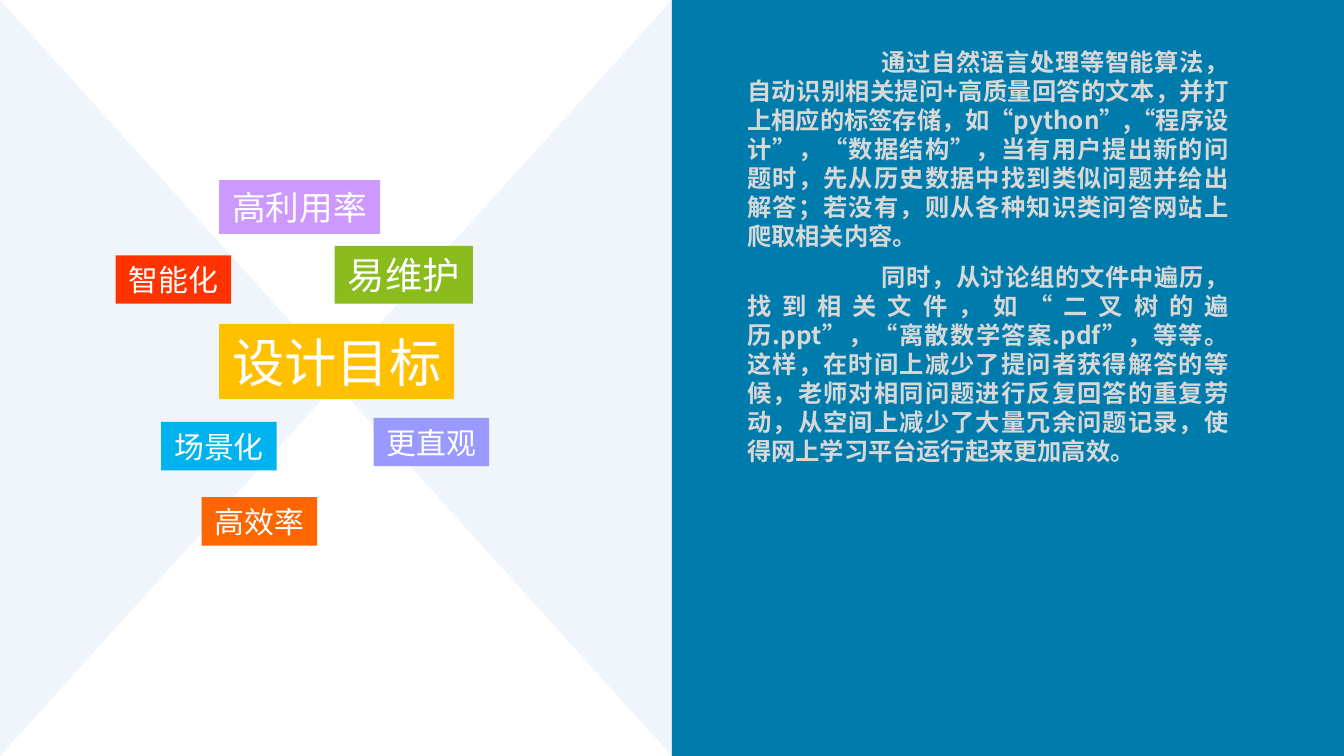
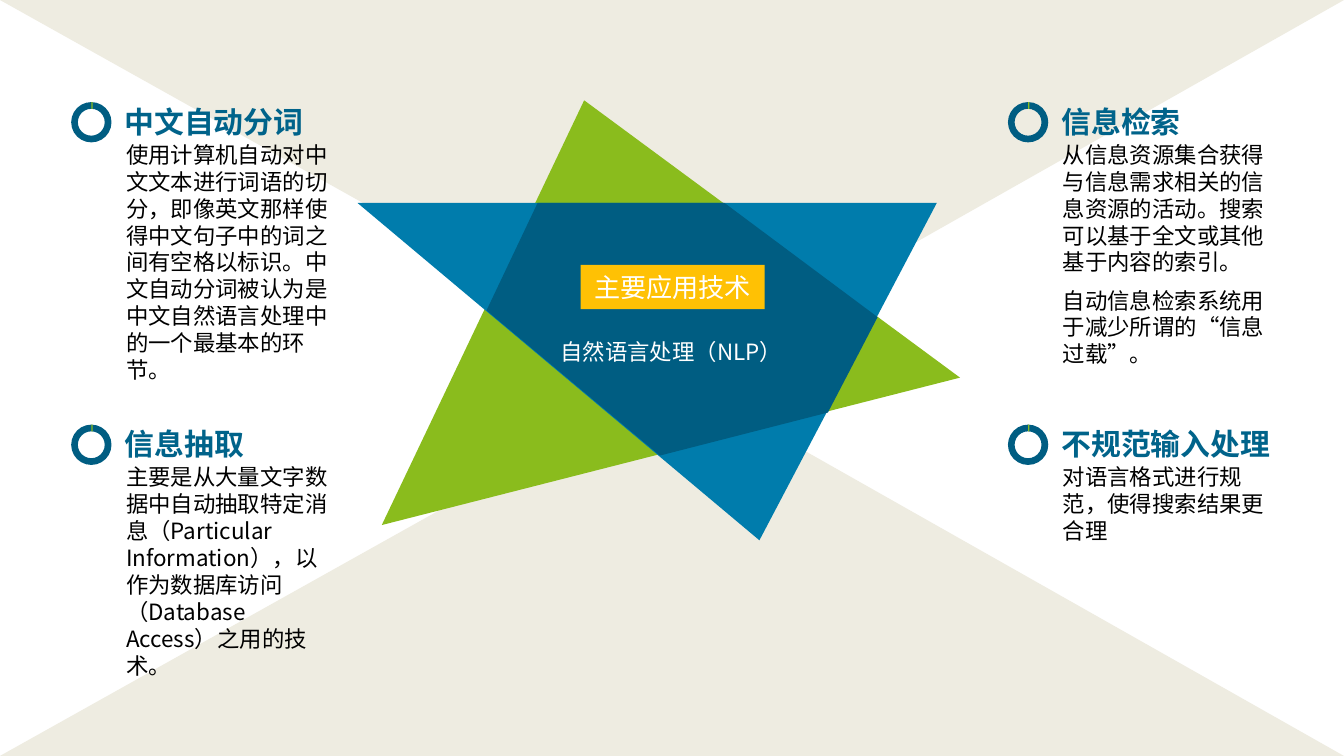
"""Build two slides on the goals and main techniques of a question answering platform."""
from pptx import Presentation
from pptx.dml.color import RGBColor
from pptx.enum.shapes import MSO_SHAPE as SHAPE
from pptx.enum.text import MSO_ANCHOR as ANCHOR, MSO_AUTO_SIZE as AUTO_SIZE, PP_ALIGN as ALIGN
from pptx.oxml.ns import qn
from pptx.util import Inches, Pt
from lxml.etree import SubElement

FONT = "Noto Sans CJK KR"
WIDTH = 10
HEIGHT = WIDTH * 9 / 16
LINE_HEIGHT = 1.2
WHITE = RGBColor(0xFF, 0xFF, 0xFF)
BLACK = RGBColor(0, 0, 0)
SILVER = RGBColor(0xD8, 0xD8, 0xD8)
PALE_BLUE = RGBColor(0xEF, 0xF5, 0xFB)
BEIGE = RGBColor(0xEE, 0xEC, 0xE1)
BLUE = RGBColor(0x00, 0x7C, 0xAC)
HEADING_BLUE = RGBColor(0x00, 0x63, 0x8A)
DARK_BLUE = RGBColor(0x00, 0x5D, 0x82)
GREEN = RGBColor(0x8A, 0xBC, 0x1D)
AMBER = RGBColor(0xFF, 0xC0, 0x00)
GOLD = RGBColor(0xFF, 0xC1, 0x04)
CYAN = RGBColor(0x00, 0xB3, 0xEE)
RED = RGBColor(0xFF, 0x33, 0x00)
ORANGE = RGBColor(0xFF, 0x66, 0x00)
VIOLET = RGBColor(0x99, 0x99, 0xFF)
LILAC = RGBColor(0xCC, 0x99, 0xFF)

GOAL_TITLE = "设计目标"
GOALS = [
    ("场景化", 1.2, 3.14, 16, CYAN),
    ("智能化", 0.86, 1.9, 16, RED),
    ("易维护", 2.49, 1.83, 20, GREEN),
    ("更直观", 2.78, 3.11, 16, VIOLET),
    ("高效率", 1.5, 3.7, 16, ORANGE),
    ("高利用率", 1.63, 1.34, 18, LILAC),
]
LABEL_SIZES = {16: (0.86, 0.36), 18: (1.2, 0.4), 20: (1.03, 0.43)}
GOAL_TEXT = [
    "通过自然语言处理等智能算法，自动识别相关提问+高质量回答的文本，并打上相应的标签存储，"
    "如“python”,“程序设计”，“数据结构”，当有用户提出新的问题时，先从历史数据中找到类似问题"
    "并给出解答；若没有，则从各种知识类问答网站上爬取相关内容。",
    "同时，从讨论组的文件中遍历，找到相关文件，如“二叉树的遍历.ppt”，“离散数学答案.pdf”，"
    "等等。这样，在时间上减少了提问者获得解答的等候，老师对相同问题进行反复回答的重复劳动，"
    "从空间上减少了大量冗余问题记录，使得网上学习平台运行起来更加高效。",
]

TECHNIQUE_TITLE = "主要应用技术"
TECHNIQUE_NAME = "自然语言处理（NLP）"
OVERLAP = [(4, 1.51), (5.39, 1.51), (6.53, 2.36), (6.16, 3.07), (4.91, 3.39), (3.62, 2.31)]
COLUMNS = [0.53, 7.5]
ROWS = [0.76, 3.16]
TECHNIQUES = [
    [
        ("中文自动分词", 1.53, 1.89, [
            "使用计算机自动对中文文本进行词语的切分，即像英文那样使得中文句子中的词之间有空格以标识。"
            "中文自动分词被认为是中文自然语言处理中的一个最基本的环节。"]),
        ("信息检索", 1.08, 1.78, [
            "从信息资源集合获得与信息需求相关的信息资源的活动。搜索可以基于全文或其他基于内容的索引。",
            "自动信息检索系统用于减少所谓的“信息过载”。"]),
    ],
    [
        ("信息抽取", 1.08, 1.98, [
            "主要是从大量文字数据中自动抽取特定消息（Particular Information），"
            "以作为数据库访问（Database Access）之用的技术。"]),
        ("不规范输入处理", 1.75, 0.7, ["对语言格式进行规范，使得搜索结果更合理"]),
    ],
]


def place(box, left, top, width, height):
    box.left, box.top, box.width, box.height = map(Inches, (left, top, width, height))


def add_shape(page, kind, left, top, width, height, fill, adjust=None, turn=0):
    shape = page.shapes.add_shape(kind, *map(Inches, (left, top, width, height)))
    paint(shape, fill)
    if adjust is not None:
        shape.adjustments[0] = adjust
    shape.rotation = turn
    return shape


def add_triangle(page, left, top, width, height, fill, apex, turn=0):
    add_shape(page, SHAPE.ISOSCELES_TRIANGLE, left, top, width, height, fill,
              adjust=apex / width, turn=turn)


def paint(shape, fill):
    shape.shadow.inherit = False
    shape.fill.solid()
    shape.fill.fore_color.rgb = fill
    shape.line.fill.background()


def write(box, lines, size, color, bold=False, align=ALIGN.LEFT, wrap=True, after=0, indent=0):
    frame = box.text_frame
    frame.auto_size = AUTO_SIZE.NONE
    frame.word_wrap = wrap
    frame.vertical_anchor = ANCHOR.TOP
    frame.margin_left = frame.margin_right = Inches(0.1)
    frame.margin_top = frame.margin_bottom = Inches(0.05)
    for index, line in enumerate(lines):
        para = frame.add_paragraph() if index else frame.paragraphs[0]
        para.alignment = align
        para.space_before, para.space_after = Pt(0), Pt(after)
        para.line_spacing = Pt(size * LINE_HEIGHT)
        props = para._p.get_or_add_pPr()
        props.set("marL", "0")
        props.set("indent", str(Inches(indent)))
        props.set("hangingPunct", "0")
        SubElement(props, qn("a:buNone"))
        span = para.add_run()
        span.text = line
        span.font.size, span.font.bold = Pt(size), bold
        span.font.color.rgb = color
        span.font.name = FONT
        SubElement(span._r.get_or_add_rPr(), qn("a:ea")).set("typeface", FONT)


def add_text(page, left, top, width, height, lines, size, color, **style):
    box = page.shapes.add_textbox(*map(Inches, (left, top, width, height)))
    write(box, lines, size, color, **style)


def bring_to_front(page, box):
    page.shapes._spTree.append(box._element)


def set_title(page, text, left, top, width, height, size, fill):
    title = page.shapes.title
    place(title, left, top, width, height)
    title.fill.solid()
    title.fill.fore_color.rgb = fill
    write(title, [text], size, WHITE, wrap=False)
    title.text_frame.margin_right = 0
    bring_to_front(page, title)


def build_goals(deck):
    page = deck.slides.add_slide(deck.slide_layouts[1])
    depth = 2.54
    for center, turn in ((depth / 2, 90), (WIDTH / 2 - depth / 2, 270)):
        add_triangle(page, center - HEIGHT / 2, (HEIGHT - depth) / 2, HEIGHT, depth,
                     PALE_BLUE, apex=HEIGHT / 2, turn=turn)
    add_shape(page, SHAPE.RECTANGLE, WIDTH / 2, 0, WIDTH / 2, HEIGHT, BLUE)
    for text, left, top, size, fill in GOALS:
        label = add_shape(page, SHAPE.RECTANGLE, left, top, *LABEL_SIZES[size], fill)
        write(label, [text], size, WHITE, wrap=False)
    body = page.placeholders[1]
    place(body, 5.46, 0.3, 3.78, 4.51)
    write(body, GOAL_TEXT, 13, SILVER, bold=True, align=ALIGN.JUSTIFY, after=6, indent=1)
    bring_to_front(page, body)
    set_title(page, GOAL_TITLE, 1.63, 2.41, 1.75, 0.56, 28, AMBER)


def add_technique(page, left, top, heading, heading_width, body_height, lines):
    ring, band = 0.3, 0.05
    add_shape(page, SHAPE.DONUT, left, top, ring, ring, DARK_BLUE, adjust=band / ring)
    add_shape(page, SHAPE.RECTANGLE, left + ring / 2, top, 0.01, band, GREEN)
    add_text(page, left + 0.3, top - 0.04, heading_width, 0.36, [heading], 16, HEADING_BLUE,
             bold=True, wrap=False)
    add_text(page, left + 0.31, top + 0.24, 1.74, body_height, lines, 12, BLACK, after=6)


def build_techniques(deck):
    page = deck.slides.add_slide(deck.slide_layouts[5])
    half = HEIGHT / 2
    add_triangle(page, 0, 0, WIDTH, half, BEIGE, apex=4.97, turn=180)
    add_triangle(page, 0, half, WIDTH, half, BEIGE, apex=5.03)
    add_triangle(page, 2.44, 0.71, 4.44, 2.69, GREEN, apex=2.24, turn=345.7)
    add_triangle(page, 2.66, 1.51, 4.31, 2.51, BLUE, apex=1.32, turn=180)
    corners = [tuple(map(Inches, corner)) for corner in OVERLAP]
    outline = page.shapes.build_freeform(*corners[0])
    outline.add_line_segments(corners[1:], close=True)
    paint(outline.convert_to_shape(), DARK_BLUE)
    set_title(page, TECHNIQUE_TITLE, 4.32, 1.97, 1.37, 0.33, 14, GOLD)
    add_text(page, 3.57, 2.47, 2.85, 0.3, [TECHNIQUE_NAME], 12, WHITE, align=ALIGN.CENTER)
    for top, row in zip(ROWS, TECHNIQUES):
        for left, technique in zip(COLUMNS, row):
            add_technique(page, left, top, *technique)


deck = Presentation()
deck.slide_width, deck.slide_height = Inches(WIDTH), Inches(HEIGHT)
build_goals(deck)
build_techniques(deck)
deck.save("out.pptx")
